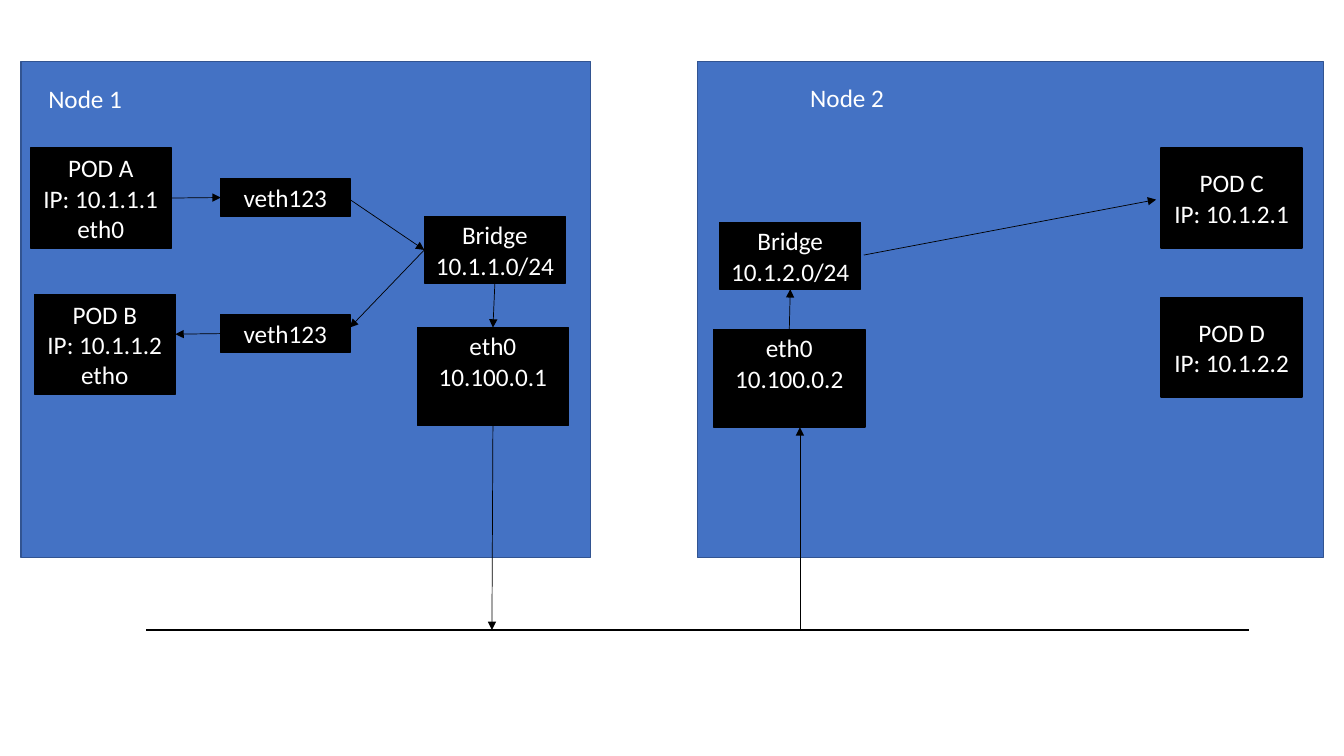
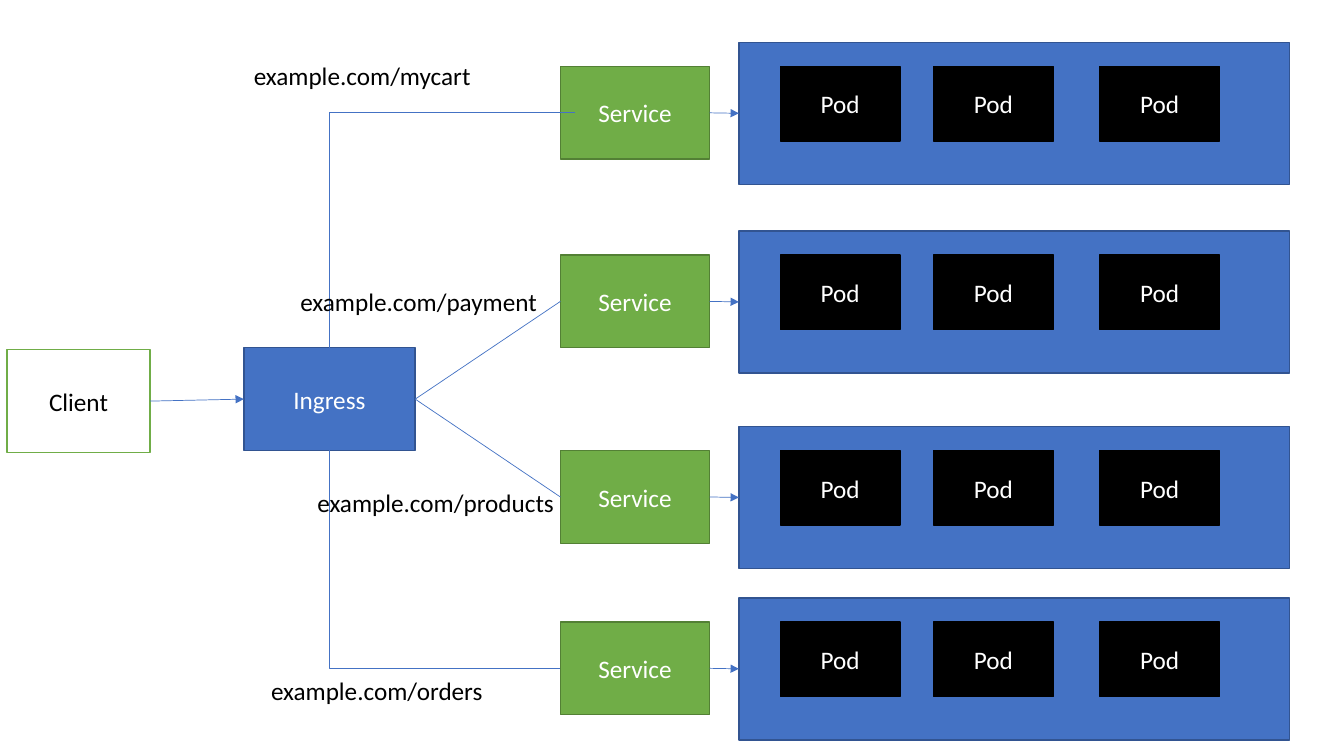
from dataclasses import dataclass

from lxml import etree
from pptx import Presentation
from pptx.dml.color import RGBColor
from pptx.enum import shapes as kinds, text as txt
from pptx.oxml import ns
from pptx.util import Pt

FONT, SIZE = "Calibri", 18
BLACK, WHITE = "000000", "FFFFFF"
BLUE, NAVY = "4472C4", "325491"
GREEN, FOREST = "70AD47", "538035"

Point = tuple[float, float]


@dataclass(frozen=True)
class Box:
    x: float
    y: float
    w: float
    h: float
    label: str = ""
    fill: str = BLACK
    edge: str = BLACK
    ink: str = WHITE
    foot: float = 3.6

    def at(self, across: float, down: float) -> Point:
        """Point at the given fractions of width and height."""
        return self.x + across * self.w, self.y + down * self.h

    @property
    def left(self) -> Point:
        return self.at(0, 0.5)

    @property
    def right(self) -> Point:
        return self.at(1, 0.5)

    @property
    def top(self) -> Point:
        return self.at(0.5, 0)

    @property
    def bottom(self) -> Point:
        return self.at(0.5, 1)


@dataclass(frozen=True)
class Link:
    start: Point
    end: Point
    arrow: bool = True
    bent: bool = False
    width: float = 0.5


def color(code: str) -> RGBColor:
    return RGBColor.from_string(code)


def write(frame, label: str, ink: str, align) -> None:
    frame.word_wrap = True
    frame.text = label
    for para in frame.paragraphs:
        para.alignment = align
        para.font.name = FONT
        para.font.size = Pt(SIZE)
        para.font.color.rgb = color(ink)


def draw_box(slide, box: Box) -> None:
    shape = slide.shapes.add_shape(
        kinds.MSO_SHAPE.RECTANGLE, Pt(box.x), Pt(box.y), Pt(box.w), Pt(box.h))
    shape.shadow.inherit = False
    shape.fill.solid()
    shape.fill.fore_color.rgb = color(box.fill)
    shape.line.color.rgb = color(box.edge)
    shape.line.width = Pt(1)
    if box.label:
        frame = shape.text_frame
        frame.vertical_anchor = txt.MSO_ANCHOR.MIDDLE
        frame.margin_bottom = Pt(box.foot)
        write(frame, box.label, box.ink, txt.PP_ALIGN.CENTER)


def draw_label(slide, x: float, y: float, w: float, label: str, ink: str) -> None:
    area = slide.shapes.add_textbox(Pt(x), Pt(y), Pt(w), Pt(28.8))
    write(area.text_frame, label, ink, txt.PP_ALIGN.LEFT)


def draw_link(slide, link: Link, ink: str) -> None:
    """Draw a line; a bent one runs across first, then up or down."""
    kind = kinds.MSO_CONNECTOR.ELBOW if link.bent else kinds.MSO_CONNECTOR.STRAIGHT
    ends = [Pt(v) for v in (*link.start, *link.end)]
    line = slide.shapes.add_connector(kind, *ends)
    line.line.color.rgb = color(ink)
    line.line.width = Pt(link.width)
    props = line.element.spPr
    if link.bent:
        props.find(ns.qn("a:prstGeom")).set("prst", "bentConnector2")
    if link.arrow:
        stroke = props.find(ns.qn("a:ln"))
        etree.SubElement(stroke, ns.qn("a:tailEnd")).set("type", "triangle")
    etree.SubElement(props, ns.qn("a:effectLst"))


def panel(x: float, y: float, w: float, h: float) -> Box:
    return Box(x, y, w, h, fill=BLUE, edge=NAVY)


def pod(x: float, y: float, label: str) -> Box:
    return Box(x, y, 100.8, 71.3, label)


def veth(y: float) -> Box:
    return Box(157.7, y, 92.2, 27.4, "veth123")


def bridge(x: float, y: float, net: str) -> Box:
    return Box(x, y, 100.8, 47.5, f"Bridge\n{net}")


def port(x: float, y: float, ip: str) -> Box:
    return Box(x, y, 108, 69.8, f"eth0\n{ip}", foot=25.6)


def draw_nodes(slide) -> None:
    bus = 450
    pod_a = pod(21.6, 105.8, "POD A\nIP: 10.1.1.1\neth0")
    pod_b = pod(24.5, 210.2, "POD B\nIP: 10.1.1.2\netho")
    pod_c = pod(829.4, 105.8, "POD C\nIP: 10.1.2.1")
    pod_d = pod(829.4, 212.4, "POD D\nIP: 10.1.2.2")
    veth_a, veth_b = veth(127.4), veth(224.6)
    hub_1 = bridge(303.1, 154.8, "10.1.1.0/24")
    hub_2 = bridge(514.1, 159.1, "10.1.2.0/24")
    port_1 = port(298.1, 234, "10.100.0.1")
    port_2 = port(509.8, 235.4, "10.100.0.2")
    riser = port_2.at(0.57, 1)

    for box in (panel(15.1, 43.9, 406.8, 354.2), panel(498.2, 43.9, 447.1, 354.2),
                pod_a, pod_b, pod_c, pod_d, veth_a, veth_b,
                hub_1, hub_2, port_1, port_2):
        draw_box(slide, box)
    draw_label(slide, 27.4, 56.2, 120.2, "Node 1", WHITE)
    draw_label(slide, 571.7, 55.4, 120.2, "Node 2", WHITE)
    for link in (
        Link(pod_a.right, veth_a.left),
        Link(veth_a.at(1, 0.55), hub_1.left),
        Link(hub_1.left, veth_b.at(1, 0.34)),
        Link(veth_b.left, pod_b.at(1, 0.4)),
        Link(hub_1.bottom, port_1.top),
        Link(port_1.bottom, (351.4, bus)),
        Link((104.4, bus), (892.1, bus), arrow=False, width=1.5),
        Link((riser[0], bus), riser),
        Link(port_2.top, hub_2.bottom),
        Link((617, 182.2), (825.8, 142.6)),
    ):
        draw_link(slide, link, BLACK)


def draw_row(slide, y: float) -> Box:
    """Draw a service with its pods and return the service box."""
    group = panel(527.8, y, 393.1, 101.5)
    inner = y + 17.3
    service = Box(400.3, inner, 106.6, 66.2, "Service", GREEN, FOREST)
    pods = [Box(x, inner, 85.7, 53.3, "Pod") for x in (557.3, 666.7, 785.5)]
    for box in (group, *pods, service):
        draw_box(slide, box)
    draw_link(slide, Link(service.right, group.left), BLUE)
    return service


def draw_ingress(slide) -> None:
    cart, pay, goods, orders = [
        draw_row(slide, y) for y in (30.2, 164.9, 304.6, 427)]
    client = Box(5, 249.8, 102.2, 73.4, "Client", WHITE, GREEN, BLACK)
    gate = Box(174.2, 248.4, 122.4, 73.4, "Ingress", BLUE, NAVY)
    for box in (client, gate):
        draw_box(slide, box)
    for link in (
        Link(client.right, gate.left),
        Link(cart.at(0.1, 0.5), gate.top, arrow=False, bent=True),
        Link(gate.right, pay.left, arrow=False),
        Link(gate.right, goods.left, arrow=False),
        Link(orders.left, gate.bottom, arrow=False, bent=True),
    ):
        draw_link(slide, link, BLUE)
    for x, y, page in ((174.2, 39.6, "mycart"), (207.4, 200.9, "payment"),
                       (219.6, 344.9, "products"), (186.5, 478.8, "orders")):
        draw_label(slide, x, y, 193.7, f"example.com/{page}", BLACK)


def main() -> None:
    deck = Presentation()
    deck.slide_width, deck.slide_height = Pt(960), Pt(540)
    for draw in (draw_nodes, draw_ingress):
        draw(deck.slides.add_slide(deck.slide_layouts[6]))
    deck.save("out.pptx")


if __name__ == "__main__":
    main()
